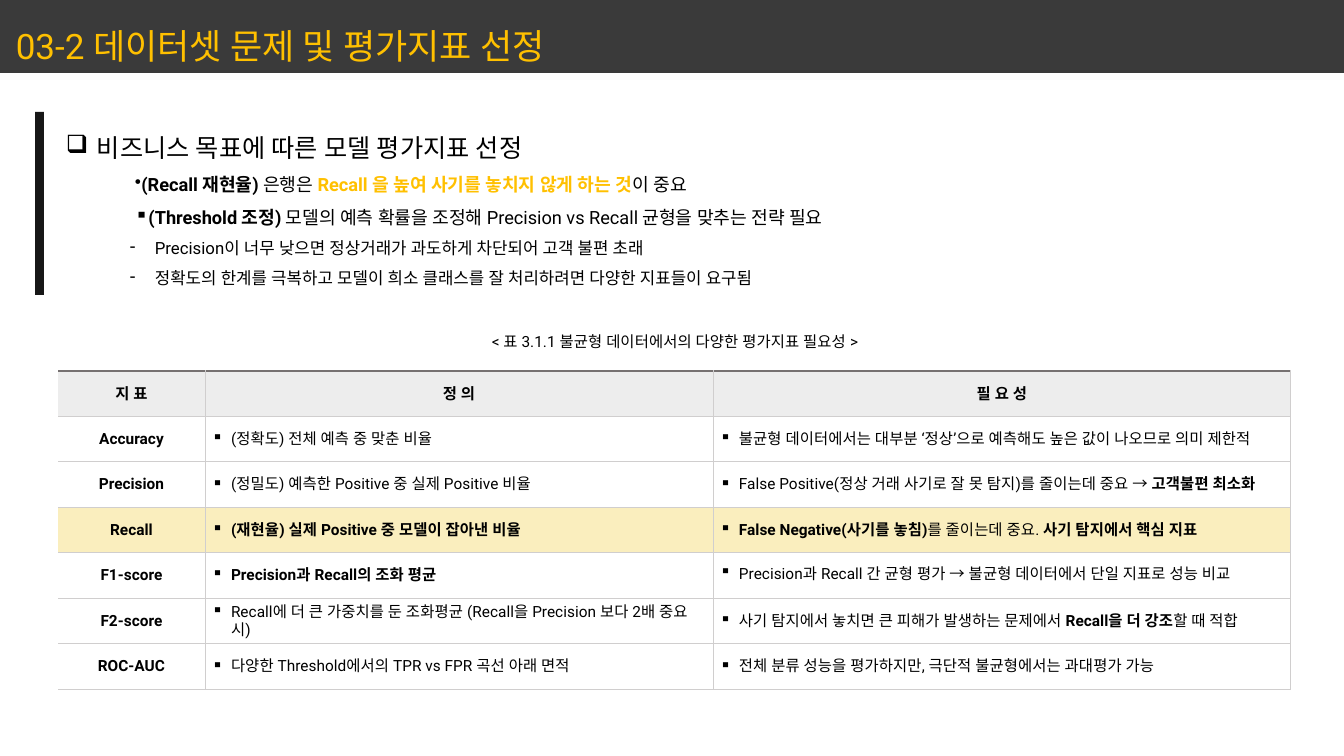
from collections import namedtuple
from dataclasses import dataclass

from lxml.etree import SubElement
from pptx import Presentation
from pptx.dml.color import RGBColor
from pptx.enum.shapes import MSO_SHAPE
from pptx.enum.text import MSO_ANCHOR, MSO_AUTO_SIZE, PP_ALIGN
from pptx.oxml.ns import qn
from pptx.util import Emu, Pt


@dataclass(frozen=True)
class Theme:
    font: str = "Roboto"
    arrow_font: str = "Noto Sans CJK KR"
    text: str = "000000"
    accent: str = "FFC000"
    band: str = "3A3A3A"
    marker: str = "171717"
    head_fill: str = "EDEDED"
    key_fill: str = "FAEEBE"
    grid: str = "D0CECE"
    head_line: str = "767171"
    title_size: float = 25
    heading_size: float = 18
    point_size: float = 13
    detail_size: float = 12
    table_size: float = 11
    head_leading: float = 13.5
    row_leading: float = 12.75


THEME = Theme()
Run = namedtuple("Run", "text bold color font", defaults=(False, THEME.text, THEME.font))
# Indents are (left margin, first line) in px
Para = namedtuple("Para", "runs size bullet indent level leading align",
                  defaults=(None, None, 0, None, None))


def px(n):
    return Emu(round(n * 914400 / 100.8))


def strong(text, color=THEME.text):
    return Run(text, True, color)


class SlideBuilder:
    def __init__(self, slide, theme):
        self.slide = slide
        self.theme = theme

    def bar(self, left, top, width, height, color):
        bar = self.slide.shapes.add_shape(
            MSO_SHAPE.RECTANGLE, px(left), px(top), px(width), px(height))
        bar.shadow.inherit = False
        bar.fill.solid()
        bar.fill.fore_color.rgb = RGBColor.from_string(color)
        bar.line.fill.background()

    def fill_text(self, frame, paras):
        for i, para in enumerate(paras):
            line = frame.add_paragraph() if i else frame.paragraphs[0]
            line.level = para.level
            if para.bullet:
                props = line._p.get_or_add_pPr()
                margin, first = para.indent
                props.set("marL", str(px(margin)))
                props.set("indent", str(px(first)))
                SubElement(props, qn("a:buChar"), char=para.bullet)
            if para.leading:
                line.line_spacing = para.leading
            if para.align:
                line.alignment = para.align
            for part in para.runs:
                run = line.add_run()
                run.text = part.text
                run.font.size = Pt(para.size)
                run.font.bold = part.bold
                run.font.color.rgb = RGBColor.from_string(part.color)
                run.font.name = part.font
                east_asian = SubElement(run._r.get_or_add_rPr(), qn("a:ea"))
                east_asian.set("typeface", part.font)

    def text(self, left, top, width, height, paras):
        frame = self.slide.shapes.add_textbox(
            px(left), px(top), px(width), px(height)).text_frame
        frame.word_wrap = True
        frame.auto_size = MSO_AUTO_SIZE.SHAPE_TO_FIT_TEXT
        self.fill_text(frame, paras)

    def border(self, cell, side, color, width=0.75):
        line = SubElement(cell._tc.get_or_add_tcPr(), qn(f"a:ln{side}"), w=str(Pt(width)))
        if color:
            SubElement(SubElement(line, qn("a:solidFill")), qn("a:srgbClr"), val=color)
        else:
            SubElement(line, qn("a:noFill"))

    def cell(self, cell, para, fill, first_col, first_row):
        t = self.theme
        cell.margin_left = cell.margin_right = px(7)
        cell.margin_top = cell.margin_bottom = px(5)
        cell.vertical_anchor = MSO_ANCHOR.MIDDLE
        self.border(cell, "L", None if first_col else t.grid)
        self.border(cell, "R", t.grid)
        self.border(cell, "T", *((t.head_line, 1.5) if first_row else (t.grid,)))
        self.border(cell, "B", t.grid)
        if fill:
            cell.fill.solid()
            cell.fill.fore_color.rgb = RGBColor.from_string(fill)
        else:
            cell.fill.background()
        self.fill_text(cell.text_frame, [para])

    def table(self, left, top, widths, height, header, rows, key):
        t = self.theme
        table = self.slide.shapes.add_table(
            len(rows) + 1, len(widths), px(left), px(top), px(sum(widths)), px(height)).table
        table.first_row = table.horz_banding = False
        for column, width in zip(table.columns, widths):
            column.width = px(width)
        for row in table.rows:
            row.height = px(height) // len(table.rows)
        for c, label in enumerate(header):
            para = Para([strong(label)], t.table_size,
                        leading=Pt(t.head_leading), align=PP_ALIGN.CENTER)
            self.cell(table.cell(0, c), para, t.head_fill, c == 0, True)
        for r, (metric, *descriptions) in enumerate(rows, 1):
            fill = t.key_fill if metric == key else None
            name = Para([strong(metric)], t.table_size,
                        leading=Pt(t.row_leading), align=PP_ALIGN.CENTER)
            self.cell(table.cell(r, 0), name, fill, True, False)
            for c, runs in enumerate(descriptions, 1):
                para = Para(runs, t.table_size, "▪", (19, -19), leading=Pt(t.row_leading))
                self.cell(table.cell(r, c), para, fill, False, False)


METRICS = [
    ("Accuracy",
     [Run("(정확도) 전체 예측 중 맞춘 비율")],
     [Run("불균형 데이터에서는 대부분 ‘정상’으로 예측해도 높은 값이 나오므로 의미 제한적")]),
    ("Precision",
     [Run("(정밀도) 예측한 Positive 중 실제 Positive 비율")],
     [Run("False Positive(정상 거래 사기로 잘 못 탐지)를 줄이는데 중요 → "),
      strong("고객불편 최소화")]),
    ("Recall",
     [strong("(재현율) 실제 Positive 중 모델이 잡아낸 비율")],
     [strong("False Negative(사기를 놓침)"), Run("를 줄이는데 중요. "),
      strong("사기 탐지에서 핵심 지표")]),
    ("F1-score",
     [strong("Precision과 Recall의 조화 평균")],
     [Run("Precision과 Recall 간 균형 평가 "), Run("→", font=THEME.arrow_font),
      Run(" 불균형 데이터에서 단일 지표로 성능 비교")]),
    ("F2-score",
     [Run("Recall에 더 큰 가중치를 둔 조화평균 (Recall을 Precision 보다 2배 중요시)")],
     [Run("사기 탐지에서 놓치면 큰 피해가 발생하는 문제에서 "),
      strong("Recall을 더 강조"), Run("할 때 적합")]),
    ("ROC-AUC",
     [Run("다양한 Threshold에서의 TPR vs FPR 곡선 아래 면적")],
     [Run("전체 분류 성능을 평가하지만, 극단적 불균형에서는 과대평가 가능")]),
]


def main():
    deck = Presentation()
    deck.slide_width, deck.slide_height = px(1344), px(756)
    builder = SlideBuilder(deck.slides.add_slide(deck.slide_layouts[6]), THEME)

    # Title band
    builder.bar(0, 0, 1344, 73, THEME.band)
    builder.text(6, 20, 629, 52, [
        Para([Run("03-2 데이터셋 문제 및 평가지표 선정", color=THEME.accent)], THEME.title_size)])

    # Goals behind the choice of metrics
    point = dict(size=THEME.point_size, indent=(44, 25), level=1, leading=1.5)
    detail = dict(size=THEME.detail_size, bullet="-", indent=(89, -25), level=2, leading=1.5)
    builder.text(56, 112, 1223, 184, [
        Para([Run("비즈니스 목표에 따른 모델 평가지표 선정")],
             THEME.heading_size, "❑", (31, -31), leading=1.5),
        Para([strong("(Recall 재현율)"), Run(" 은행은 "),
              strong("Recall 을 높여 사기를 놓치지 않게 하는 것", THEME.accent),
              Run("이 중요")], bullet="•", **point),
        Para([strong("(Threshold 조정)"),
              Run(" 모델의 예측 확률을 조정해 Precision vs Recall 균형을 맞추는 전략 필요")],
             bullet="▪", **point),
        Para([Run("Precision이 너무 낮으면 정상거래가 과도하게 차단되어 고객 불편 초래")], **detail),
        Para([Run("정확도의 한계를 극복하고 모델이 희소 클래스를 잘 처리하려면 다양한 지표들이 요구됨")],
             **detail)])
    builder.bar(35, 112, 9, 183, THEME.marker)

    # Metric table and its caption
    builder.table(58, 371, (147, 508, 578), 318, ("지 표", "정 의", "필 요 성"),
                  METRICS, key="Recall")
    builder.text(339, 327, 672, 28, [
        Para([Run("< 표 3.1.1 불균형 데이터에서의 다양한 평가지표 필요성 >")], THEME.table_size,
             leading=Pt(THEME.head_leading), align=PP_ALIGN.CENTER)])

    deck.save("out.pptx")


if __name__ == "__main__":
    main()
